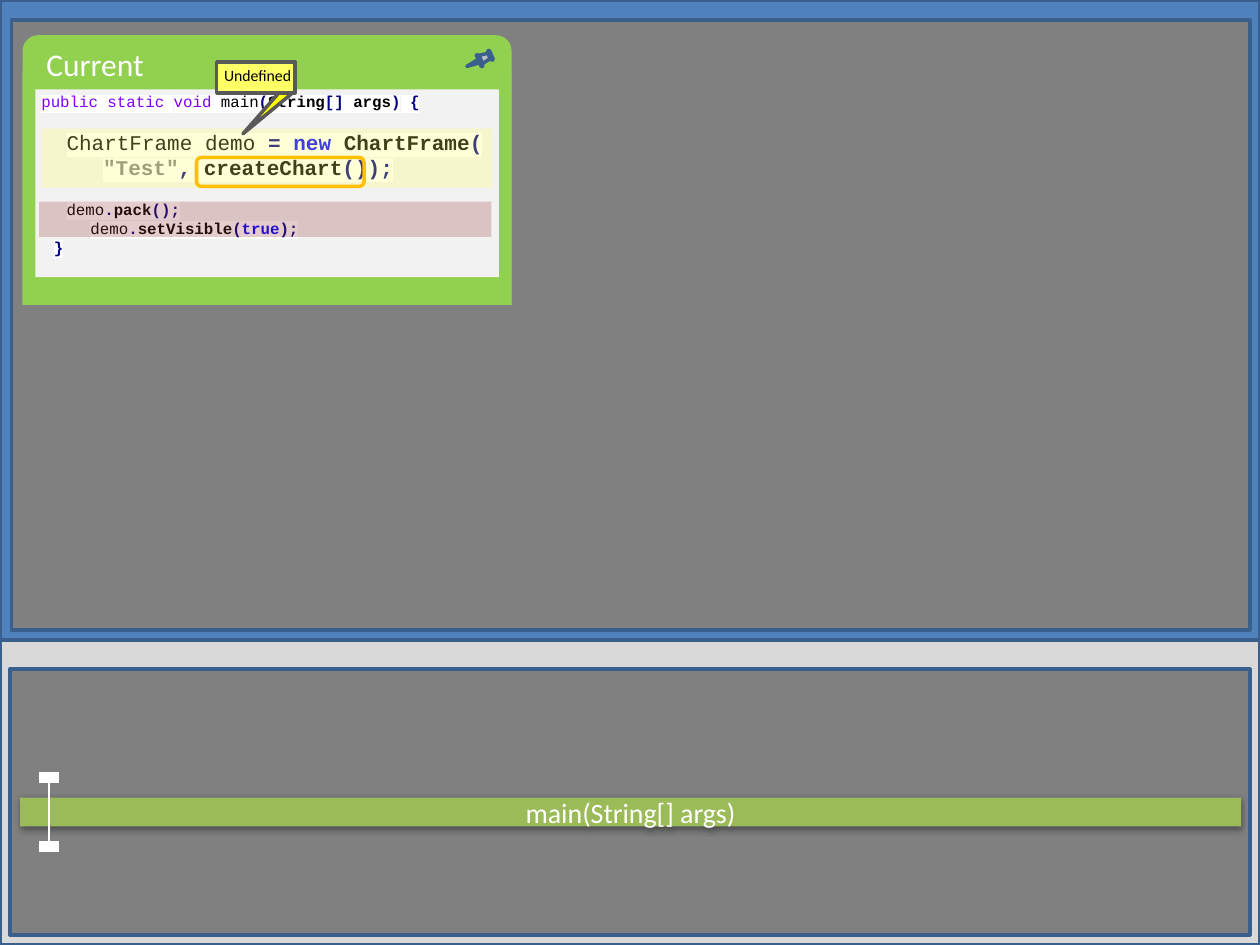
from lxml import etree
from pptx import Presentation
from pptx.dml.color import RGBColor
from pptx.enum.shapes import MSO_CONNECTOR, MSO_SHAPE as SHAPE
from pptx.enum.text import MSO_ANCHOR, PP_ALIGN
from pptx.oxml.ns import qn
from pptx.util import Inches, Pt

WHITE = RGBColor(0xFF, 0xFF, 0xFF)
BLACK = RGBColor(0, 0, 0)
SILVER = RGBColor(0xD9, 0xD9, 0xD9)
PIN_GRAY = RGBColor(0xBF, 0xBF, 0xBF)
PAPER = RGBColor(0xF2, 0xF2, 0xF2)
GRAY = RGBColor(0x80, 0x80, 0x80)
DARK_GRAY = RGBColor(0x59, 0x59, 0x59)
BLUE = RGBColor(0x4F, 0x81, 0xBD)
EDGE_BLUE = RGBColor(0x3A, 0x5F, 0x8C)
LIME = RGBColor(0x92, 0xD0, 0x50)
GREEN = RGBColor(0x9B, 0xBB, 0x59)
NOTE_YELLOW = RGBColor(0xFF, 0xFF, 0x66)
YELLOW = RGBColor(0xFF, 0xFF, 0)
ORANGE = RGBColor(0xFF, 0xC0, 0)
MAROON = RGBColor(0x95, 0x37, 0x35)
PURPLE = RGBColor(0x80, 0, 0xFF)
NAVY = RGBColor(0, 0, 0x80)
KEYWORD = RGBColor(0, 0, 0xFF)

# Code lines: indent, size, line height, space before, runs (text, colour, bold)
CODE = [
    (0, 9, 10.9, 0, [
        ("public", PURPLE, False), (" ", BLACK, False), ("static", PURPLE, False),
        (" ", BLACK, False), ("void", PURPLE, False), (" main", BLACK, False),
        ("(", NAVY, True), ("String", BLACK, True), ("[]", NAVY, True),
        (" args", BLACK, True), (")", NAVY, True), (" ", BLACK, True), ("{", NAVY, True)]),
    (0.2, 12, 14.3, 10.9, [
        ("ChartFrame demo ", BLACK, False), ("=", NAVY, True), (" ", BLACK, True),
        ("new", KEYWORD, True), (" ChartFrame", BLACK, True), ("(", NAVY, True)]),
    (0.49, 12, 14.3, 0, [
        ('"Test"', GRAY, True), (",", NAVY, True), (" createChart", BLACK, True),
        ("());", NAVY, True)]),
    (0.2, 9, 10.9, 10.9, [
        ("demo", BLACK, False), (".", NAVY, True), ("pack", BLACK, True),
        ("();", NAVY, True)]),
    (0.39, 9, 10.9, 0, [
        ("demo", BLACK, False), (".", NAVY, True), ("setVisible", BLACK, True),
        ("(", NAVY, True), ("true", KEYWORD, True), (");", NAVY, True)]),
    (0.1, 9, 10.9, 0, [("}", NAVY, True)]),
]


def add_box(parent, kind, box, fill=None, line=None, rotation=0, opacity=None):
    s = parent.shapes.add_shape(kind, *map(Inches, box))
    s.shadow.inherit = False
    s.rotation = rotation
    if fill is None:
        s.fill.background()
    else:
        s.fill.solid()
        s.fill.fore_color.rgb = fill
    if opacity is not None:
        color = s._element.spPr.find(qn("a:solidFill"))[0]
        etree.SubElement(color, qn("a:alpha"), val=str(opacity * 1000))
    if line is None:
        s.line.fill.background()
    else:
        s.line.color.rgb = line
        s.line.width = Pt(2)
    return s


def add_run(p, text, size, color, font="Calibri", bold=False):
    r = p.add_run()
    r.text = text
    r.font.size = Pt(size)
    r.font.name = font
    r.font.bold = bold
    r.font.color.rgb = color
    return r


def add_text(parent, box, wrap):
    tf = parent.shapes.add_textbox(*map(Inches, box)).text_frame
    tf.word_wrap = wrap
    return tf


def add_line(parent, x1, y1, x2, y2, color, width):
    s = parent.shapes.add_connector(MSO_CONNECTOR.STRAIGHT, *map(Inches, (x1, y1, x2, y2)))
    s.line.color.rgb = color
    s.line.width = Pt(width)
    etree.SubElement(s._element.spPr, qn("a:effectLst"))


def add_highlight(r, color):
    mark = etree.Element(qn("a:highlight"))
    etree.SubElement(mark, qn("a:srgbClr"), val=str(color))
    r._r.rPr.find(qn("a:solidFill")).addnext(mark)


def add_drop_shadow(s):
    effects = s._element.spPr.find(qn("a:effectLst"))
    shadow = etree.SubElement(effects, qn("a:outerShdw"), blurRad=str(Pt(3.1)),
                              dist=str(Pt(1.6)), dir=str(90 * 60000), rotWithShape="0")
    color = etree.SubElement(shadow, qn("a:srgbClr"), val=str(BLACK))
    etree.SubElement(color, qn("a:alpha"), val="38000")


def add_code(slide):
    tf = add_text(slide, (0.23, 0.68, 3.76, 1.41), False)
    for i, (indent, size, height, before, runs) in enumerate(CODE):
        p = tf.paragraphs[0] if i == 0 else tf.add_paragraph()
        p._p.get_or_add_pPr().set("marL", str(Inches(indent)))
        p.line_spacing = Pt(height)
        p.space_before = Pt(before)
        for text, color, bold in runs:
            add_highlight(add_run(p, text, size, color, "Courier New", bold), WHITE)


def add_card(slide):
    card = slide.shapes.add_group_shape()
    top = add_box(card, SHAPE.ROUND_2_SAME_RECTANGLE, (0.18, 0.28, 3.88, 2.14), LIME)
    top.adjustments[0] = 0.057
    add_box(card, SHAPE.RECTANGLE, (0.18, 0.56, 3.88, 1.86), LIME)
    add_box(card, SHAPE.RECTANGLE, (0.28, 0.71, 3.68, 1.49), PAPER)
    tf = add_text(slide, (0.27, 0.31, 0.98, 0.4), False)
    add_run(tf.paragraphs[0], "Current", 18, WHITE)


def add_call_bar(slide):
    s = add_box(slide, SHAPE.RECTANGLE, (0.16, 6.33, 9.69, 0.23), GREEN)
    add_drop_shadow(s)
    s.text_frame.vertical_anchor = MSO_ANCHOR.MIDDLE
    p = s.text_frame.paragraphs[0]
    p.alignment = PP_ALIGN.CENTER
    add_run(p, "main(String[] args)", 16, WHITE)


def add_time_marker(slide):
    marker = slide.shapes.add_group_shape()
    top, bottom = 6.17, 6.72
    for y in (top, bottom):
        add_line(marker, 0.31, y, 0.47, y, WHITE, 6)
    add_line(marker, 0.39, top, 0.39, bottom, WHITE, 1)


def add_note(slide):
    note = slide.shapes.add_group_shape()
    pointer = add_box(note, SHAPE.RIGHT_TRIANGLE, (2.08, 0.66, 0.08, 0.49),
                      YELLOW, DARK_GRAY, 221.3)
    pointer._element.spPr.xfrm.set("flipH", "1")
    add_box(note, SHAPE.RECTANGLE, (1.72, 0.49, 0.62, 0.25), NOTE_YELLOW, DARK_GRAY)
    tf = add_text(note, (1.68, 0.47, 0.74, 0.25), True)
    add_run(tf.paragraphs[0], "Undefined", 9, BLACK)


def add_pin(slide):
    pin = slide.shapes.add_group_shape()
    for kind, box, rotation in [
        (SHAPE.ISOSCELES_TRIANGLE, (3.74, 0.45, 0.03, 0.11), 246.5),
        (SHAPE.FLOWCHART_MANUAL_OPERATION, (3.82, 0.41, 0.07, 0.09), 246.5),
        (SHAPE.FLOWCHART_DELAY, (3.8, 0.43, 0.02, 0.1), 336.5),
        (SHAPE.FLOWCHART_DELAY, (3.88, 0.4, 0.02, 0.08), 156.5),
    ]:
        add_box(pin, kind, box, PIN_GRAY, EDGE_BLUE, rotation)


def main():
    prs = Presentation()
    prs.slide_width, prs.slide_height = Inches(10), Inches(7.5)
    slide = prs.slides.add_slide(prs.slide_layouts[6])

    # Background panels
    for box, fill in [
        ((0, 5.08, 10, 2.42), SILVER),
        ((0, 0, 10, 5.08), BLUE),
        ((0.08, 5.31, 9.84, 2.11), GRAY),
        ((0.09, 0.16, 9.83, 4.84), GRAY),
    ]:
        add_box(slide, SHAPE.RECTANGLE, box, fill, EDGE_BLUE)

    # Code card with tinted lines
    add_card(slide)
    add_code(slide)
    add_box(slide, SHAPE.RECTANGLE, (0.33, 1.02, 3.58, 0.47), NOTE_YELLOW, opacity=25)
    add_box(slide, SHAPE.RECTANGLE, (0.31, 1.6, 3.59, 0.28), MAROON, opacity=25)

    # Call timeline
    add_call_bar(slide)
    add_time_marker(slide)

    # Marked call, note and pin
    add_box(slide, SHAPE.ROUNDED_RECTANGLE, (1.56, 1.25, 1.33, 0.23), line=ORANGE)
    add_note(slide)
    add_pin(slide)

    prs.save("out.pptx")


if __name__ == "__main__":
    main()
